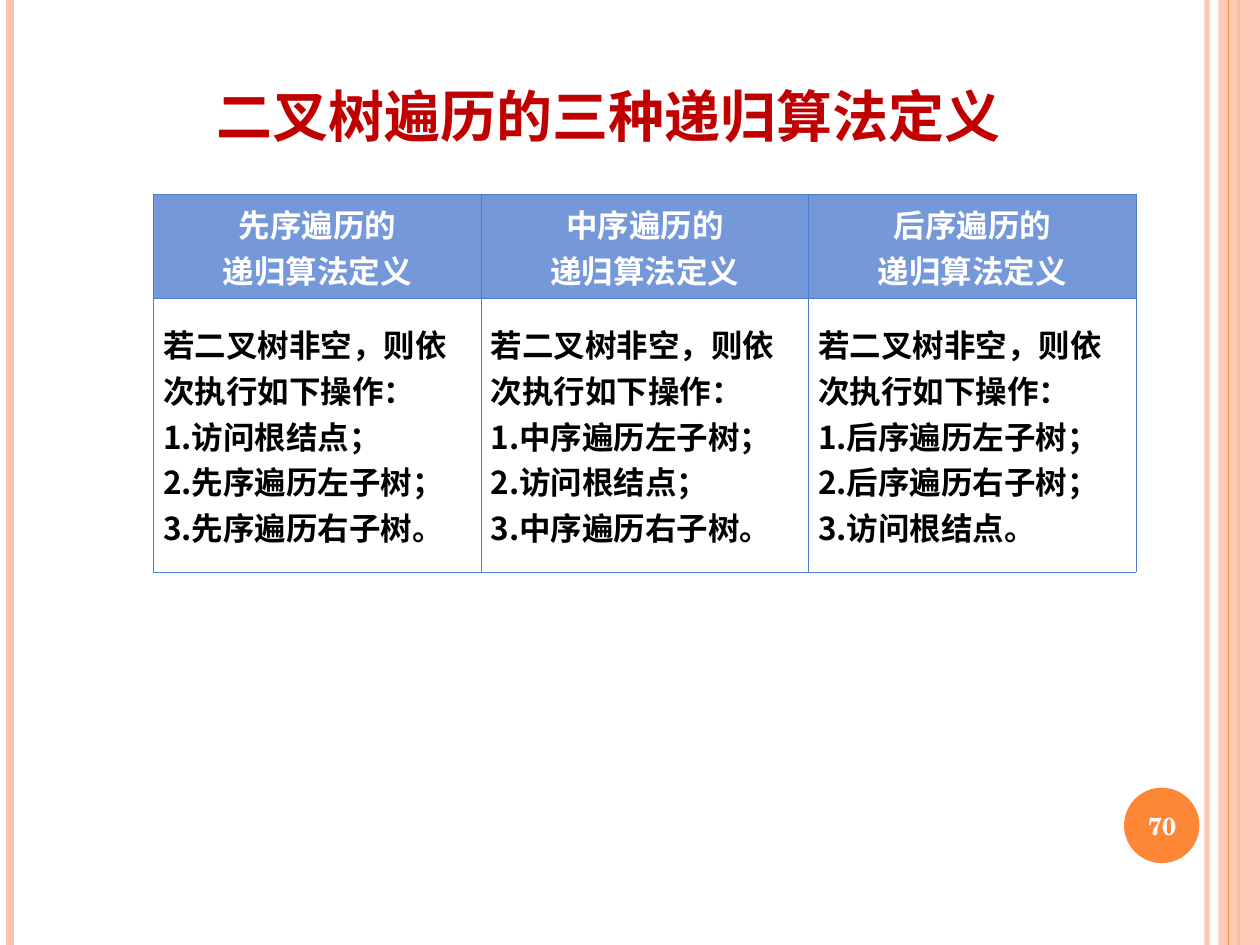
"""Build a slide comparing the three recursive definitions of binary tree traversal."""
from lxml import etree
from pptx import Presentation
from pptx.dml.color import RGBColor
from pptx.enum.shapes import MSO_CONNECTOR, MSO_SHAPE
from pptx.enum.text import MSO_ANCHOR, PP_ALIGN
from pptx.oxml.ns import qn
from pptx.util import Cm, Pt

LEFT, CENTER = PP_ALIGN.LEFT, PP_ALIGN.CENTER
MIDDLE, BOTTOM = MSO_ANCHOR.MIDDLE, MSO_ANCHOR.BOTTOM
STRAIGHT = MSO_CONNECTOR.STRAIGHT
RECTANGLE, OVAL = MSO_SHAPE.RECTANGLE, MSO_SHAPE.OVAL

PEACH = RGBColor(0xFE, 0xC3, 0xAE)
ORANGE = RGBColor(0xFE, 0x86, 0x37)
RED = RGBColor(0xC0, 0x00, 0x00)
BLUE = RGBColor(0x75, 0x98, 0xD9)
BORDER = RGBColor(0x4D, 0x7B, 0xCF)
WHITE = RGBColor(0xFF, 0xFF, 0xFF)
BLACK = RGBColor(0x00, 0x00, 0x00)
FONT = "TeX Gyre Schola"

TITLE = "二叉树遍历的三种递归算法定义"
PAGE_NUMBER = "70"
HEADING_END = "递归算法定义"
INTRODUCTION = "若二叉树非空，则依次执行如下操作："
TRAVERSALS = [
    ("先序遍历的", ["访问根结点；", "先序遍历左子树；", "先序遍历右子树。"]),
    ("中序遍历的", ["中序遍历左子树；", "访问根结点；", "中序遍历右子树。"]),
    ("后序遍历的", ["后序遍历左子树；", "后序遍历右子树；", "访问根结点。"]),
]

WIDTH, HEIGHT = Cm(25.4), Cm(19.05)
COLUMN_WIDTH = Cm(6.6)
ROW_HEIGHTS = [Cm(2.01), Cm(5.51)]
BACK_STRIPES = [(24.33, PEACH, 3, 93), (0.2, PEACH, 4.5, 100), (24.97, ORANGE, 1.5, 100)]
FRONT_STRIPES = [(24.77, ORANGE, 0.75, 100)]


def set_opacity(properties, percent):
    color = next(properties.iter(qn("a:srgbClr")))
    etree.SubElement(color, qn("a:alpha"), val=str(percent * 1000))


def add_stripes(page, stripes):
    for x, color, width, opacity in stripes:
        stripe = page.shapes.add_connector(STRAIGHT, Cm(x), 0, Cm(x), HEIGHT)
        stripe.line.color.rgb = color
        stripe.line.width = Pt(width)
        properties = stripe._element.spPr
        if opacity < 100:
            set_opacity(properties, opacity)
        etree.SubElement(properties, qn("a:effectLst"))


def add_plain_shape(page, kind, color, *place):
    shape = page.shapes.add_shape(kind, *place)
    shape.shadow.inherit = False
    shape.fill.solid()
    shape.fill.fore_color.rgb = color
    shape.line.fill.background()
    return shape


def number_paragraph(para):
    properties = para._p.get_or_add_pPr()
    properties.set("marL", "0")
    properties.set("indent", "0")
    color = etree.SubElement(properties, qn("a:buClr"))
    etree.SubElement(color, qn("a:srgbClr"), val=str(BLACK))
    etree.SubElement(properties, qn("a:buAutoNum"), type="arabicPeriod")


def write(frame, lines, size, color, align=CENTER, anchor=MIDDLE, numbered_from=None):
    frame.word_wrap = True
    frame.vertical_anchor = anchor
    for index, line in enumerate(lines):
        para = frame.paragraphs[0] if index == 0 else frame.add_paragraph()
        para.alignment = align
        if numbered_from is not None and index >= numbered_from:
            number_paragraph(para)
        span = para.add_run()
        span.text = line
        span.font.name = FONT
        span.font.size = Pt(size)
        span.font.bold = True
        span.font.color.rgb = color


def set_borders(cell):
    properties = cell._tc.get_or_add_tcPr()
    for position, side in enumerate(("lnL", "lnR", "lnT", "lnB")):
        line = etree.Element(qn("a:" + side), w=str(Pt(0.45)))
        fill = etree.SubElement(line, qn("a:solidFill"))
        etree.SubElement(fill, qn("a:srgbClr"), val=str(BORDER))
        properties.insert(position, line)


def format_cell(cell, lines, color, fill=None, **text_format):
    cell.margin_left = cell.margin_right = Cm(0.19)
    cell.margin_top = cell.margin_bottom = Cm(0.13)
    if fill is None:
        cell.fill.background()
    else:
        cell.fill.solid()
        cell.fill.fore_color.rgb = fill
    set_borders(cell)
    write(cell.text_frame, lines, 18, color, **text_format)
    cell.vertical_anchor = MIDDLE


def add_traversal_table(page):
    count = len(TRAVERSALS)
    table = page.shapes.add_table(
        2, count, Cm(3.1), Cm(3.92), COLUMN_WIDTH * count, sum(ROW_HEIGHTS)
    ).table
    table.horz_banding = False
    for row, height in zip(table.rows, ROW_HEIGHTS):
        row.height = height
    for index, (heading, steps) in enumerate(TRAVERSALS):
        table.columns[index].width = COLUMN_WIDTH
        format_cell(table.cell(0, index), [heading, HEADING_END], WHITE, fill=BLUE)
        format_cell(table.cell(1, index), [INTRODUCTION, *steps], BLACK,
                    align=LEFT, numbered_from=1)


def main():
    deck = Presentation()
    deck.slide_width, deck.slide_height = WIDTH, HEIGHT
    page = deck.slides.add_slide(deck.slide_layouts[5])

    add_stripes(page, BACK_STRIPES)
    band = add_plain_shape(page, RECTANGLE, PEACH, Cm(24.56), 0, Cm(0.84), HEIGHT)
    set_opacity(band._element.spPr, 87)
    add_stripes(page, FRONT_STRIPES)
    add_plain_shape(page, OVAL, ORANGE, Cm(22.66), Cm(15.88), Cm(1.52), Cm(1.52))

    title = page.shapes.title
    title.left, title.top, title.width, title.height = Cm(1.27), Cm(0.91), Cm(22.02), Cm(2.21)
    write(title.text_frame, [TITLE], 32, RED, anchor=BOTTOM)

    add_traversal_table(page)

    number_box = page.shapes.add_textbox(Cm(22.58), Cm(15.93), Cm(1.7), Cm(1.45))
    write(number_box.text_frame, [PAGE_NUMBER], 14, WHITE)
    deck.save("out.pptx")


if __name__ == "__main__":
    main()
